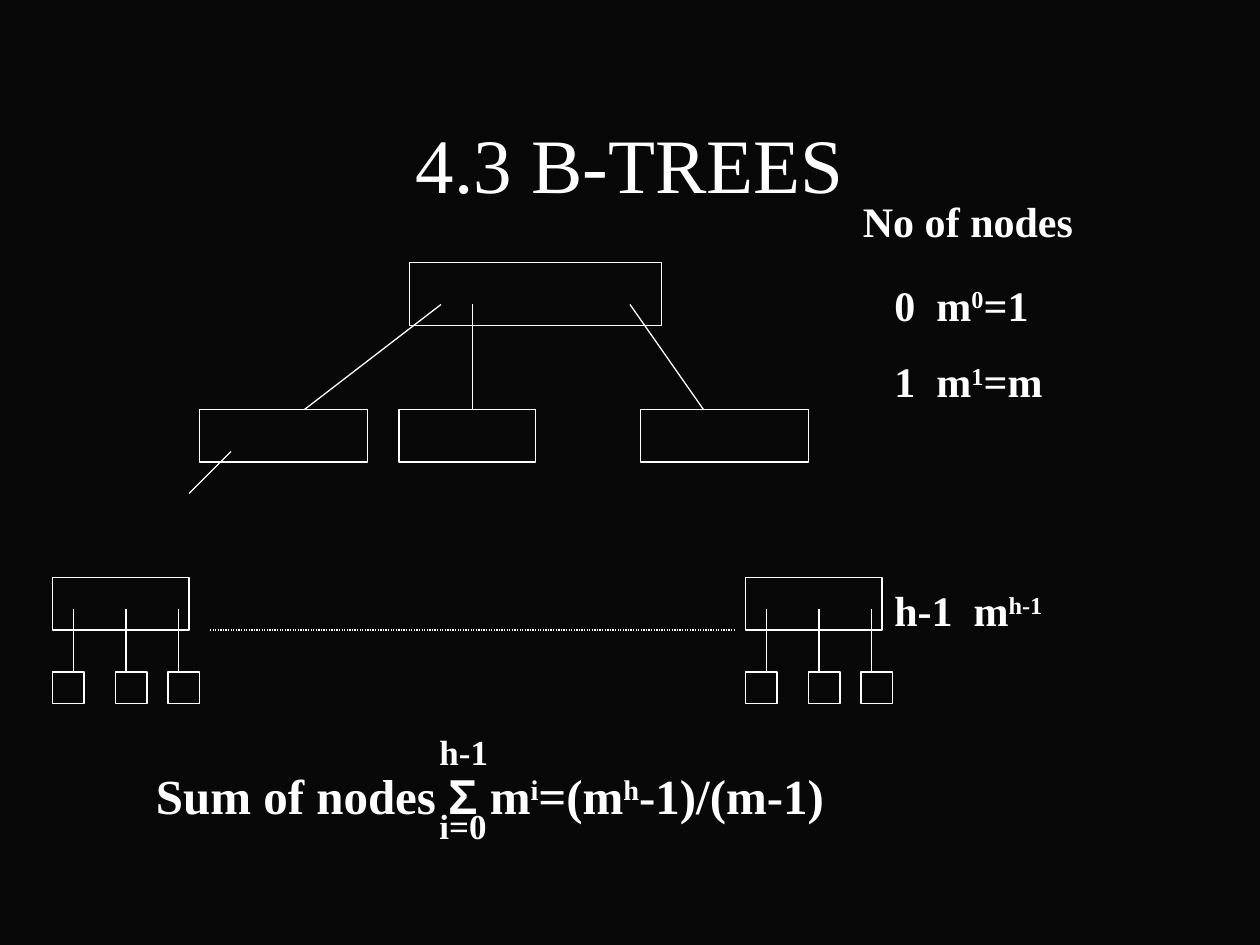
from dataclasses import dataclass
from typing import Any

from lxml import etree
from pptx import Presentation
from pptx.dml.color import RGBColor
from pptx.enum.dml import MSO_LINE
from pptx.enum.shapes import MSO_CONNECTOR, MSO_SHAPE
from pptx.enum.text import MSO_ANCHOR, MSO_AUTO_SIZE, PP_ALIGN
from pptx.oxml.ns import qn
from pptx.util import Pt

RECT = MSO_SHAPE.RECTANGLE
STRAIGHT = MSO_CONNECTOR.STRAIGHT
DOTTED = MSO_LINE.ROUND_DOT
CENTER = PP_ALIGN.CENTER
MIDDLE = MSO_ANCHOR.MIDDLE
NO_FIT = MSO_AUTO_SIZE.NONE


@dataclass(frozen=True)
class Theme:
    background: RGBColor = RGBColor(0x08, 0x08, 0x08)
    ink: RGBColor = RGBColor(0xFF, 0xFF, 0xFF)
    font: str = "Times New Roman"
    symbol_font: str = "Arial"
    title: float = 44
    formula: float = 28
    label: float = 24
    limit: float = 20
    line: float = 0.75


THEME = Theme()


@dataclass(frozen=True)
class Box:
    x: float
    y: float
    w: float
    h: float


@dataclass(frozen=True)
class Line:
    x1: float
    y1: float
    x2: float
    y2: float


@dataclass(frozen=True)
class Piece:
    text: str
    raised: bool = False
    font: str = THEME.font


@dataclass(frozen=True)
class Para:
    pieces: tuple[Piece, ...]
    before: float = 0
    tab: float = 0


@dataclass(frozen=True)
class Label:
    box: Box
    size: float
    paras: tuple[Para, ...]


TITLE = Box(54, 48, 612, 90)
TREE_NODES = (
    Box(234, 150, 144, 36),
    Box(114, 234, 96, 30),
    Box(228, 234, 78, 30),
    Box(366, 234, 96, 30),
)
TREE_EDGES = (
    Line(252, 174, 174, 234),
    Line(270, 174, 270, 234),
    Line(360, 174, 402, 234),
    Line(132, 258, 108, 282),
)
CLUSTER_LEFTS = (30, 426)
CLUSTER_TOP = 330
LEAF_OFFSETS = ((12, 0), (42, 36), (72, 66))
ELLIPSIS = Line(120, 360, 420, 360)

LABELS = (
    Label(Box(486, 108, 168, 36), THEME.label, (Para((Piece("No of nodes"),)),)),
    Label(Box(504, 156, 192, 212), THEME.label, (
        Para((Piece("0\tm"), Piece("0", True), Piece("=1")), tab=24),
        Para((Piece("1\tm"), Piece("1", True), Piece("=m")), before=15, tab=24),
        Para((Piece("h-1\tm"), Piece("h-1", True)), before=102, tab=45.3),
    )),
    Label(Box(82, 434, 459, 41), THEME.formula, (Para((
        Piece("Sum of nodes "), Piece("Σ", font=THEME.symbol_font), Piece(" m"),
        Piece("i", True), Piece("=(m"), Piece("h", True), Piece("-1)/(m-1)"),
    )),)),
    Label(Box(244, 456, 42, 32), THEME.limit, (Para((Piece("i=0"),)),)),
    Label(Box(244, 414, 48, 32), THEME.limit, (Para((Piece("h-1"),)),)),
)


def draw_box(shapes: Any, box: Box) -> None:
    sp = shapes.add_shape(RECT, Pt(box.x), Pt(box.y), Pt(box.w), Pt(box.h))
    sp.shadow.inherit = False
    sp.fill.background()
    sp.line.color.rgb = THEME.ink
    sp.line.width = Pt(THEME.line)


def draw_line(shapes: Any, line: Line, dash: Any = None) -> None:
    cxn = shapes.add_connector(STRAIGHT, Pt(line.x1), Pt(line.y1), Pt(line.x2), Pt(line.y2))
    cxn.line.color.rgb = THEME.ink
    cxn.line.width = Pt(THEME.line)
    if dash is not None:
        cxn.line.dash_style = dash
    etree.SubElement(cxn._element.spPr, qn("a:effectLst"))


def draw_cluster(shapes: Any, left: float) -> None:
    group = shapes.add_group_shape()
    draw_box(group.shapes, Box(left, CLUSTER_TOP, 78, 30))
    for edge, leaf in LEAF_OFFSETS:
        x = left + edge
        draw_line(group.shapes, Line(x, CLUSTER_TOP + 18, x, CLUSTER_TOP + 54))
        draw_box(group.shapes, Box(left + leaf, CLUSTER_TOP + 54, 18, 18))


def add_tab(p: Any, position: float) -> None:
    tabs = etree.SubElement(p._p.get_or_add_pPr(), qn("a:tabLst"))
    etree.SubElement(tabs, qn("a:tab"), pos=str(int(Pt(position))), algn="l")


def draw_label(shapes: Any, label: Label) -> None:
    box = label.box
    tf = shapes.add_textbox(Pt(box.x), Pt(box.y), Pt(box.w), Pt(box.h)).text_frame
    tf.word_wrap = True
    for i, para in enumerate(label.paras):
        p = tf.add_paragraph() if i else tf.paragraphs[0]
        if para.before:
            p.space_before = Pt(para.before)
        if para.tab:
            add_tab(p, para.tab)
        for piece in para.pieces:
            r = p.add_run()
            r.text = piece.text
            r.font.name = piece.font
            r.font.size = Pt(label.size)
            r.font.bold = True
            r.font.color.rgb = THEME.ink
            if piece.raised:
                r._r.get_or_add_rPr().set("baseline", "30000")


def draw_title(s: Any, text: str) -> None:
    sp = s.shapes.title
    sp.left, sp.top = Pt(TITLE.x), Pt(TITLE.y)
    sp.width, sp.height = Pt(TITLE.w), Pt(TITLE.h)
    tf = sp.text_frame
    tf.text = text
    tf.auto_size = NO_FIT
    tf.vertical_anchor = MIDDLE
    p = tf.paragraphs[0]
    p.alignment = CENTER
    p.font.name = THEME.font
    p.font.size = Pt(THEME.title)
    p.font.color.rgb = THEME.ink


def main() -> None:
    prs = Presentation()
    prs.slide_width, prs.slide_height = Pt(720), Pt(540)
    s = prs.slides.add_slide(prs.slide_layouts[5])
    s.background.fill.solid()
    s.background.fill.fore_color.rgb = THEME.background
    draw_title(s, "4.3 B-TREES")
    for node in TREE_NODES:
        draw_box(s.shapes, node)
    for edge in TREE_EDGES:
        draw_line(s.shapes, edge)
    for left in CLUSTER_LEFTS:
        draw_cluster(s.shapes, left)
    draw_line(s.shapes, ELLIPSIS, DOTTED)
    for label in LABELS:
        draw_label(s.shapes, label)
    prs.save("out.pptx")


if __name__ == "__main__":
    main()
